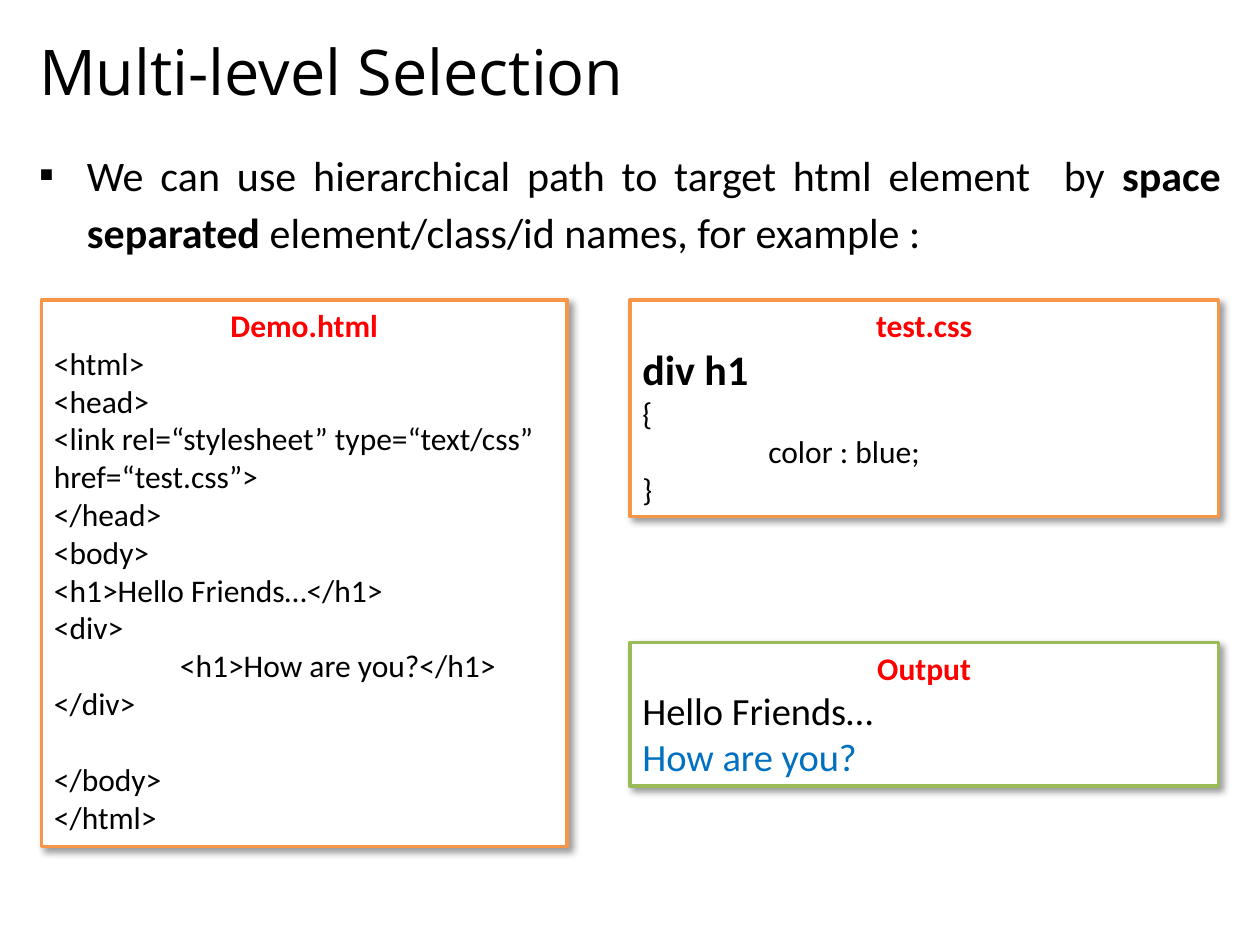
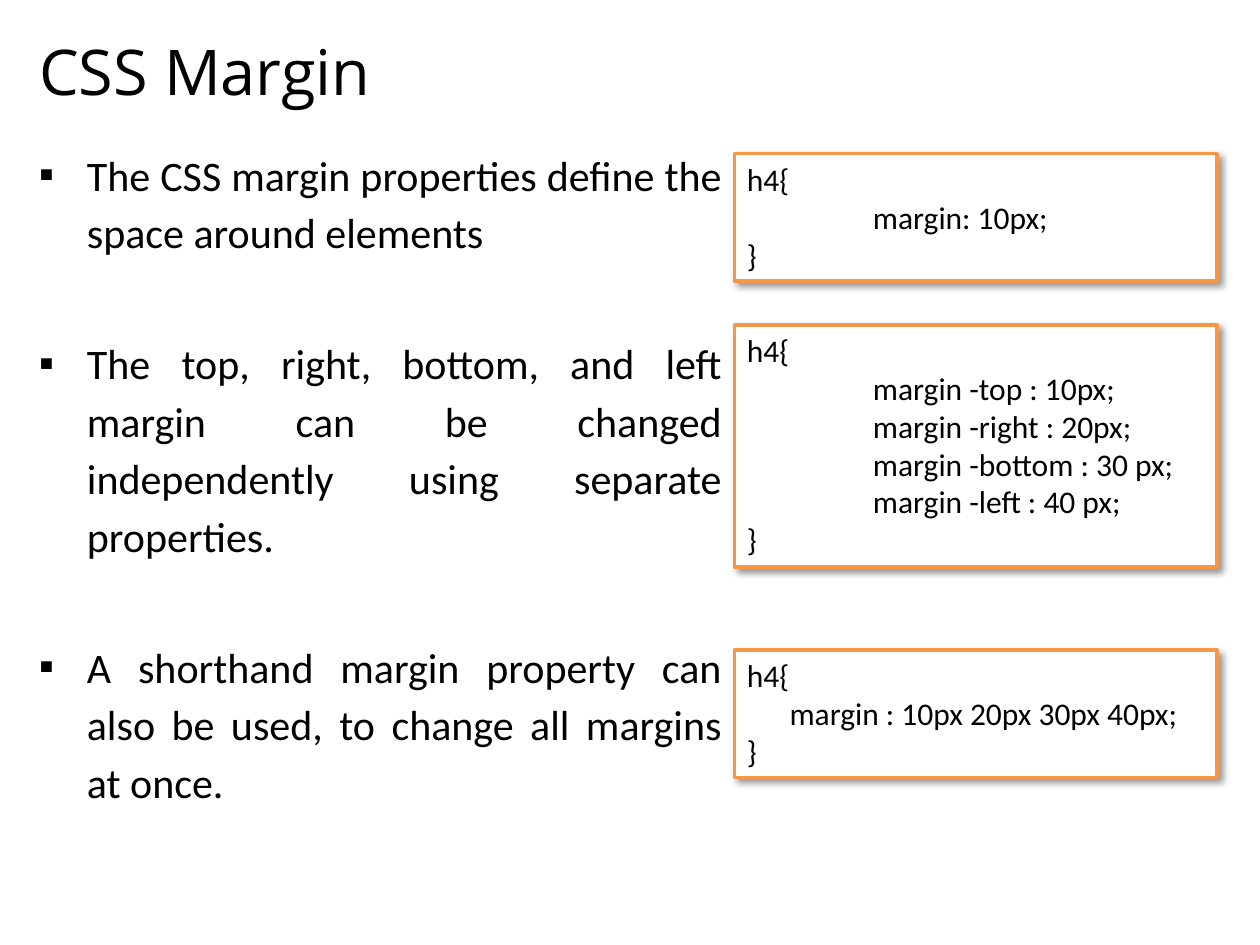
from dataclasses import dataclass

from lxml.etree import SubElement
from pptx import Presentation
from pptx.dml.color import RGBColor
from pptx.enum.shapes import MSO_SHAPE
from pptx.enum.text import MSO_ANCHOR, MSO_AUTO_SIZE, PP_ALIGN
from pptx.oxml.ns import qn
from pptx.util import Inches, Pt

BLACK, WHITE, RED, BLUE = "000000", "FFFFFF", "FF0000", "0070C0"
ORANGE, GREEN = "F79646", "9BBB59"
TITLE_FONT, BODY_FONT = "Open Sans", "Calibri"
MARGIN, BODY_TOP = 0.21, 1.08
CODE_SIZE, BULLET_SIZE = 18, 24


@dataclass
class Line:
    text: str
    size: float = CODE_SIZE
    color: str = BLACK
    bold: bool = False
    align: PP_ALIGN = PP_ALIGN.LEFT
    before: float = 0


@dataclass
class Card:
    left: float
    top: float
    width: float
    height: float
    lines: list[Line]
    border: str = ORANGE


@dataclass
class Page:
    title: str
    body_width: float
    body_height: float
    bullets: list[list[tuple[str, bool]]]
    cards: list[Card]


def rgb(color: str) -> RGBColor:
    return RGBColor.from_string(color)


def add_text(p, text: str, *, size: float, color: str = BLACK,
             bold: bool = False, font: str = BODY_FONT) -> None:
    r = p.add_run()
    r.text = text
    r.font.size = Pt(size)
    r.font.name = font
    r.font.bold = bold
    r.font.color.rgb = rgb(color)


def next_paragraph(tf, index: int):
    return tf.add_paragraph() if index else tf.paragraphs[0]


def place(sp, left: float, top: float, width: float, height: float) -> None:
    sp.left, sp.top = Inches(left), Inches(top)
    sp.width, sp.height = Inches(width), Inches(height)


def add_title(s, text: str) -> None:
    sp = s.shapes.title
    place(sp, MARGIN, 0.12, 9.58, 0.88)
    tf = sp.text_frame
    tf.auto_size = MSO_AUTO_SIZE.NONE
    tf.vertical_anchor = MSO_ANCHOR.MIDDLE
    p = tf.paragraphs[0]
    p.alignment = PP_ALIGN.LEFT
    add_text(p, text, size=36, font=TITLE_FONT)


def add_bullets(s, page: Page) -> None:
    sp = s.placeholders[1]
    place(sp, MARGIN, BODY_TOP, page.body_width, page.body_height)
    tf = sp.text_frame
    tf.auto_size = MSO_AUTO_SIZE.NONE
    for i, parts in enumerate(page.bullets):
        p = next_paragraph(tf, i)
        p.alignment = PP_ALIGN.JUSTIFY
        p.line_spacing = 1.14
        p.space_before = Pt(42 if i else 0)
        pPr = p._p.get_or_add_pPr()
        pPr.set("marL", str(Inches(0.38)))
        pPr.set("indent", str(-Inches(0.38)))
        SubElement(pPr, qn("a:buFont"), typeface=BODY_FONT)
        SubElement(pPr, qn("a:buChar"), char="▪")
        for text, bold in parts:
            add_text(p, text, size=BULLET_SIZE, bold=bold)


def add_shadow(sp) -> None:
    sp.shadow.inherit = False
    effects = sp._element.spPr.find(qn("a:effectLst"))
    shadow = SubElement(effects, qn("a:outerShdw"), blurRad=str(Pt(4)),
                        dist=str(Pt(3)), dir=str(45 * 60000),
                        algn="tl", rotWithShape="0")
    color = SubElement(shadow, qn("a:srgbClr"), val=BLACK)
    SubElement(color, qn("a:alpha"), val="40000")


def add_card(s, card: Card) -> None:
    sp = s.shapes.add_shape(MSO_SHAPE.RECTANGLE, Inches(card.left), Inches(card.top),
                            Inches(card.width), Inches(card.height))
    sp.fill.solid()
    sp.fill.fore_color.rgb = rgb(WHITE)
    sp.line.color.rgb = rgb(card.border)
    sp.line.width = Pt(2)
    add_shadow(sp)
    tf = sp.text_frame
    tf.word_wrap = True
    tf.auto_size = MSO_AUTO_SIZE.SHAPE_TO_FIT_TEXT
    tf.vertical_anchor = MSO_ANCHOR.TOP
    for i, line in enumerate(card.lines):
        p = next_paragraph(tf, i)
        p.alignment = line.align
        p.space_before = Pt(line.before)
        if line.text.startswith("\t"):
            tabs = SubElement(p._p.get_or_add_pPr(), qn("a:tabLst"))
            SubElement(tabs, qn("a:tab"), pos=str(Inches(1)), algn="l")
        add_text(p, line.text, size=line.size, color=line.color, bold=line.bold)


def heading(text: str) -> Line:
    return Line(text, color=RED, bold=True, align=PP_ALIGN.CENTER)


def code(*texts: str) -> list[Line]:
    return [Line(text) for text in texts]


def rule_card(top: float, height: float, *declarations: str) -> Card:
    return Card(5.83, top, 3.83, height, code("h4{", *declarations, "}"))


DEMO = [
    heading("Demo.html"),
    *code("<html>", "<head>",
          "<link rel=“stylesheet” type=“text/css” href=“test.css”>",
          "</head>", "<body>", "<h1>Hello Friends…</h1>", "<div>",
          "\t<h1>How are you?</h1>", "</div>"),
    Line("</body>", before=22),
    Line("</html>"),
]
STYLES = [
    heading("test.css"),
    Line("div h1", size=24, bold=True),
    *code("{", "\tcolor : blue;", "}"),
]
OUTPUT = [
    heading("Output"),
    Line("Hello Friends…", size=22),
    Line("How are you?", size=22, color=BLUE),
]

PAGES = [
    Page("Multi-level Selection", 9.58, 1.17,
         [[("We can use hierarchical path to target html element  by ", False),
           ("space separated", True),
           (" element/class/id names, for example :", False)]],
         [Card(0.33, 2.38, 4.17, 4.34, DEMO),
          Card(5, 2.38, 4.67, 1.72, STYLES),
          Card(5, 5.1, 4.67, 1.14, OUTPUT, GREEN)]),
    Page("CSS Margin", 5.62, 5.83,
         [[("The CSS margin properties define the space around elements", False)],
          [("The top, right, bottom, and left margin can be changed "
            "independently using separate properties.", False)],
          [("A shorthand margin property can also be used, "
            "to change all margins at once.", False)]],
         [rule_card(1.22, 1.01, "\tmargin: 10px;"),
          rule_card(2.58, 1.92, "\tmargin -top : 10px;", "\tmargin -right : 20px;",
                    "\tmargin -bottom : 30 px;", "\tmargin -left : 40 px;"),
          rule_card(5.16, 1.01, "      margin : 10px 20px 30px 40px;")]),
]


def main() -> None:
    prs = Presentation()
    prs.slide_width, prs.slide_height = Inches(10), Inches(7.5)
    for page in PAGES:
        s = prs.slides.add_slide(prs.slide_layouts[1])
        add_title(s, page.title)
        add_bullets(s, page)
        for card in page.cards:
            add_card(s, card)
    prs.save("out.pptx")


if __name__ == "__main__":
    main()
